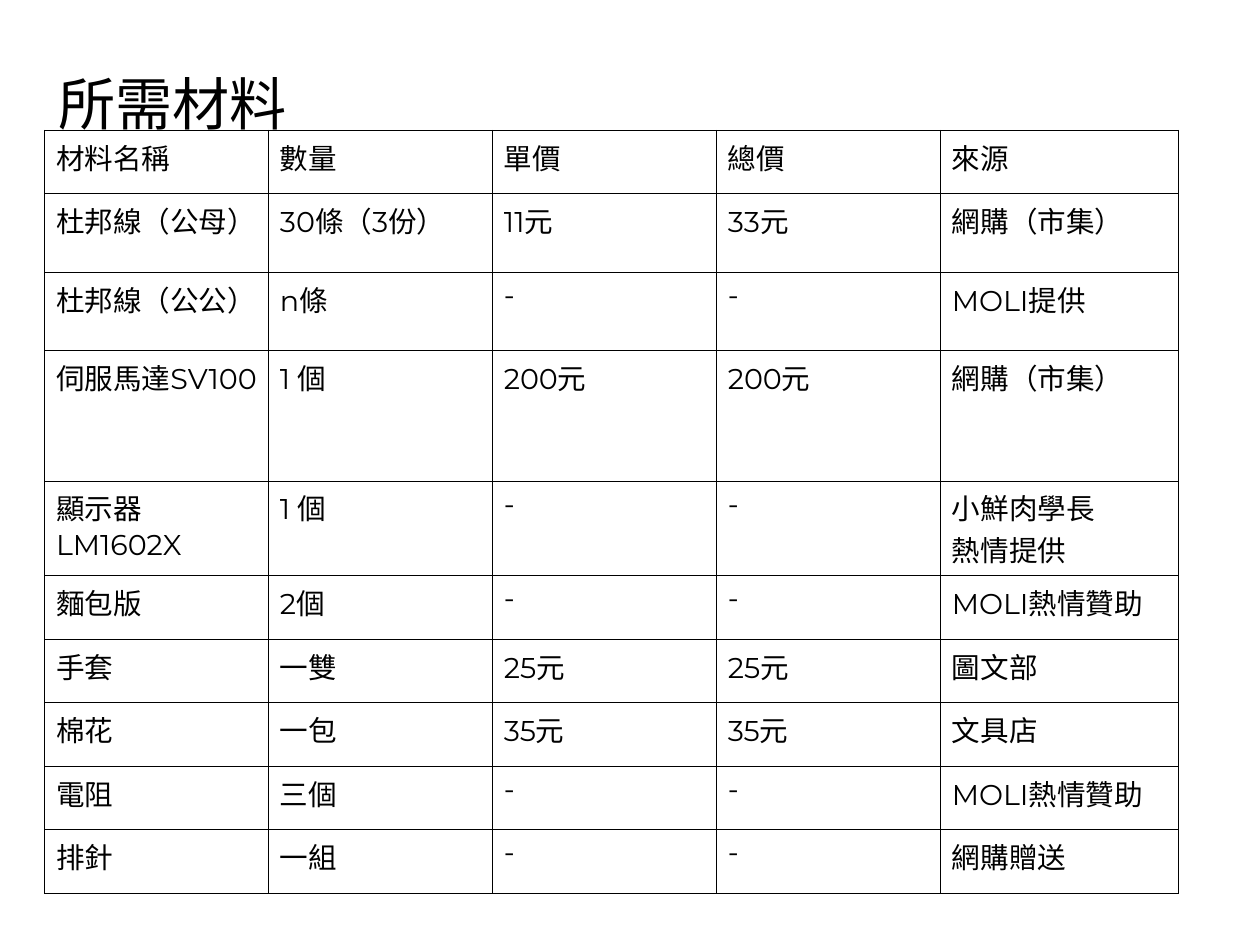
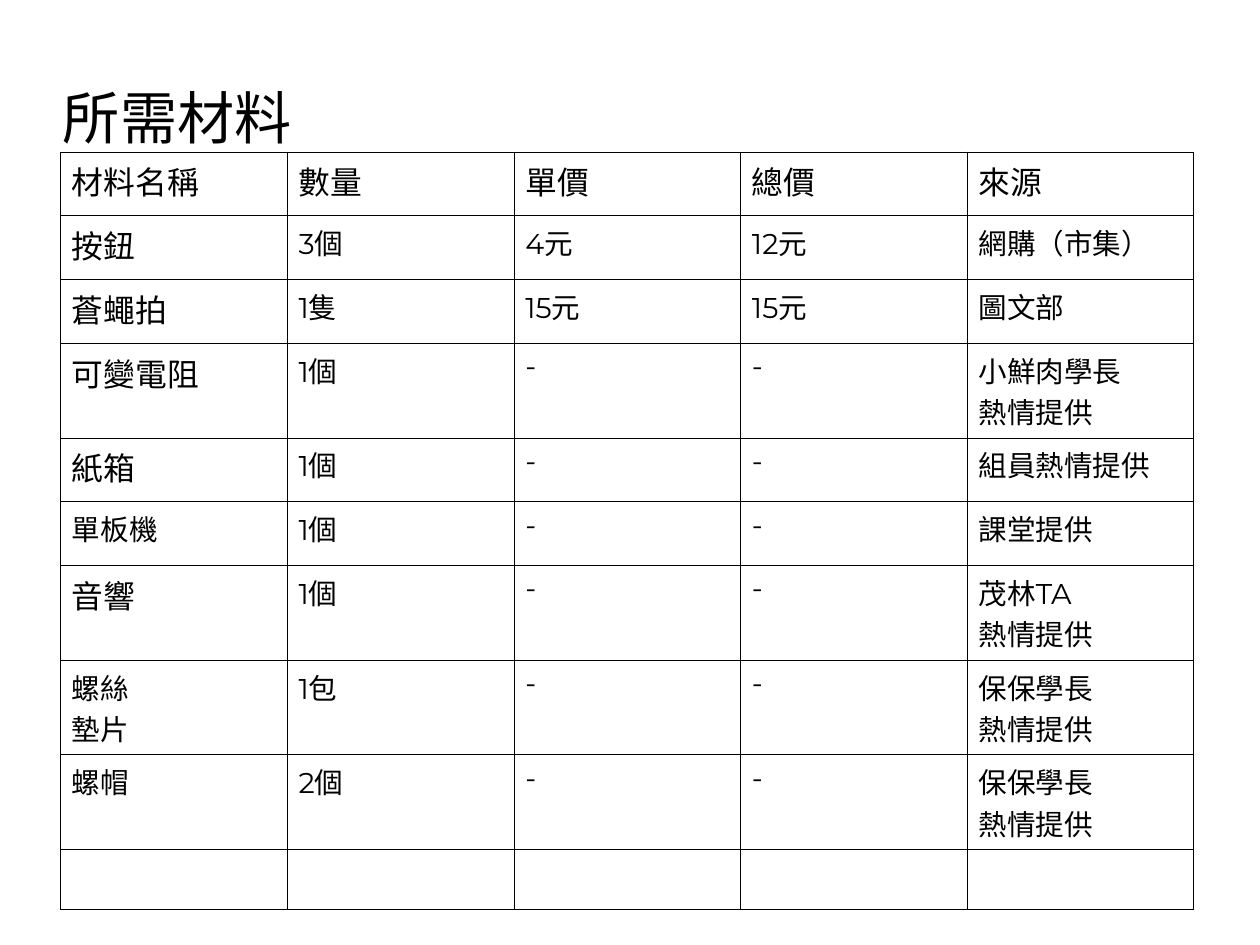
import pptx
import pptx.dml.color
import pptx.enum.text
import pptx.oxml
import pptx.oxml.ns
import pptx.util

Pt = pptx.util.Pt

# Shared style
INK = "000000"
TITLE_FONT, TABLE_FONT = "Arial", "Montserrat"
TITLE_SIZE, LARGE, BODY = 36, 20, 18
TITLE_W, TITLE_H = 566.64, 56.88
BORDER_WIDTH = 0.57
TITLE = "所需材料"
HEADER = ("材料名稱", "數量", "單價", "總價", "來源")

# Content: table rows, row heights, and the first-column items set larger
SLIDES = [
    dict(
        title_at=(36.72, 36), table_at=(28.08, 82.08),
        widths=[141.1] * 4 + [149.8],
        heights=[40, 49.6, 49.2, 82.2, 59.6, 40, 40, 40, 40, 40],
        large=(),
        rows=[
            HEADER,
            ("杜邦線（公母）", "30條（3份）", "11元", "33元", "網購（市集）"),
            ("杜邦線（公公）", "n條", "-", "-", "MOLI提供"),
            ("伺服馬達SV100", "1 個", "200元", "200元", "網購（市集）"),
            ("顯示器LM1602X", "1 個", "-", "-", "小鮮肉學長\v熱情提供"),
            ("麵包版", "2個", "-", "-", "MOLI熱情贊助"),
            ("手套", "一雙", "25元", "25元", "圖文部"),
            ("棉花", "一包", "35元", "35元", "文具店"),
            ("電阻", "三個", "-", "-", "MOLI熱情贊助"),
            ("排針", "一組", "-", "-", "網購贈送"),
        ],
    ),
    dict(
        title_at=(39.6, 45.36), table_at=(38.16, 95.76),
        widths=[142.8] * 5,
        heights=[40.2, 40.2, 40.2, 59.6, 40.2, 40.2, 59.6, 59.6, 59.6, 38],
        large=HEADER + ("按鈕", "蒼蠅拍", "可變電阻", "紙箱", "音響"),
        rows=[
            HEADER,
            ("按鈕", "3個", "4元", "12元", "網購（市集）"),
            ("蒼蠅拍", "1隻", "15元", "15元", "圖文部"),
            ("可變電阻", "1個", "-", "-", "小鮮肉學長\v熱情提供"),
            ("紙箱", "1個", "-", "-", "組員熱情提供"),
            ("單板機", "1個", "-", "-", "課堂提供"),
            ("音響", "1個", "-", "-", "茂林TA\v熱情提供"),
            ("螺絲\v墊片", "1包", "-", "-", "保保學長\v熱情提供"),
            ("螺帽", "2個", "-", "-", "保保學長\n熱情提供"),
            ("",) * 5,
        ],
    ),
]


def rgb(color):
    return pptx.dml.color.RGBColor.from_string(color)


def set_text(tf, text, font, size):
    tf.text = text
    for p in tf.paragraphs:
        p.font.name = font
        p.font.size = Pt(size)
        p.font.color.rgb = rgb(INK)


def add_borders(cell):
    tc_pr = cell._tc.get_or_add_tcPr()
    for i, side in enumerate(("lnL", "lnR", "lnT", "lnB")):
        tc_pr.insert(i, pptx.oxml.parse_xml(
            f'<a:{side} {pptx.oxml.ns.nsdecls("a")} w="{int(Pt(BORDER_WIDTH))}">'
            f'<a:solidFill><a:srgbClr val="{INK}"/></a:solidFill></a:{side}>'))


def add_title(s, left, top):
    title = s.shapes.title
    title.left, title.top = Pt(left), Pt(top)
    title.width, title.height = Pt(TITLE_W), Pt(TITLE_H)
    tf = title.text_frame
    tf.margin_left = tf.margin_right = tf.margin_top = tf.margin_bottom = 0
    tf.vertical_anchor = pptx.enum.text.MSO_ANCHOR.MIDDLE
    tf.auto_size = pptx.enum.text.MSO_AUTO_SIZE.NONE
    set_text(tf, TITLE, TITLE_FONT, TITLE_SIZE)
    tf.paragraphs[0].alignment = pptx.enum.text.PP_ALIGN.LEFT


def add_materials(s, left, top, widths, heights, rows, large):
    table = s.shapes.add_table(len(rows), len(widths), Pt(left), Pt(top),
                               Pt(sum(widths)), Pt(sum(heights))).table
    table.first_row = table.horz_banding = False
    for column, width in zip(table.columns, widths):
        column.width = Pt(width)
    for row, height, texts in zip(table.rows, heights, rows):
        row.height = Pt(height)
        for cell, text in zip(row.cells, texts):
            set_text(cell.text_frame, text, TABLE_FONT, LARGE if text in large else BODY)
            cell.fill.background()
            add_borders(cell)


def main():
    prs = pptx.Presentation()
    prs.slide_width, prs.slide_height = Pt(793.7), Pt(595.28)
    for data in SLIDES:
        s = prs.slides.add_slide(prs.slide_layouts[5])
        add_title(s, *data["title_at"])
        add_materials(s, *data["table_at"], data["widths"], data["heights"],
                      data["rows"], data["large"])
    prs.save("out.pptx")


if __name__ == "__main__":
    main()
